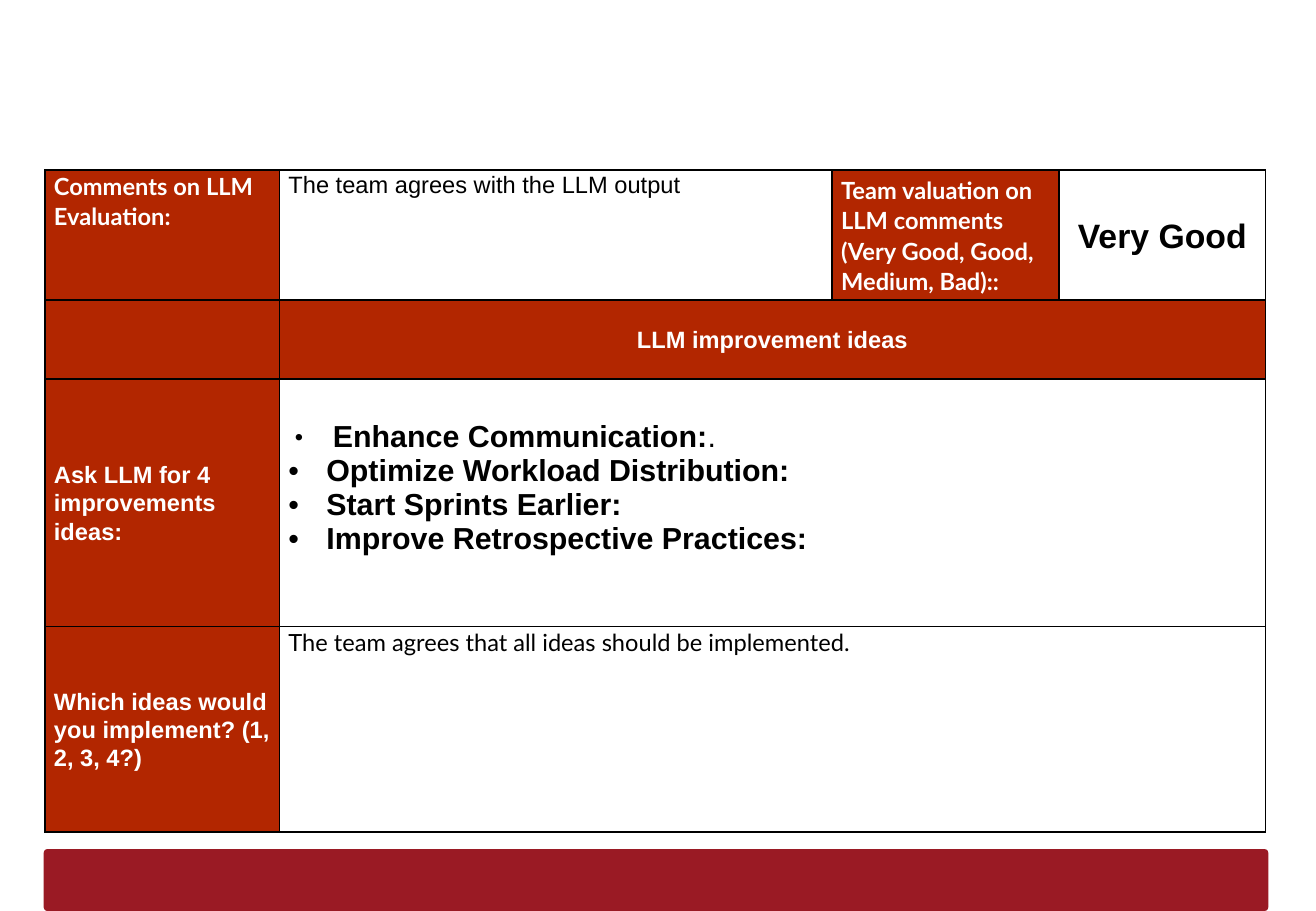
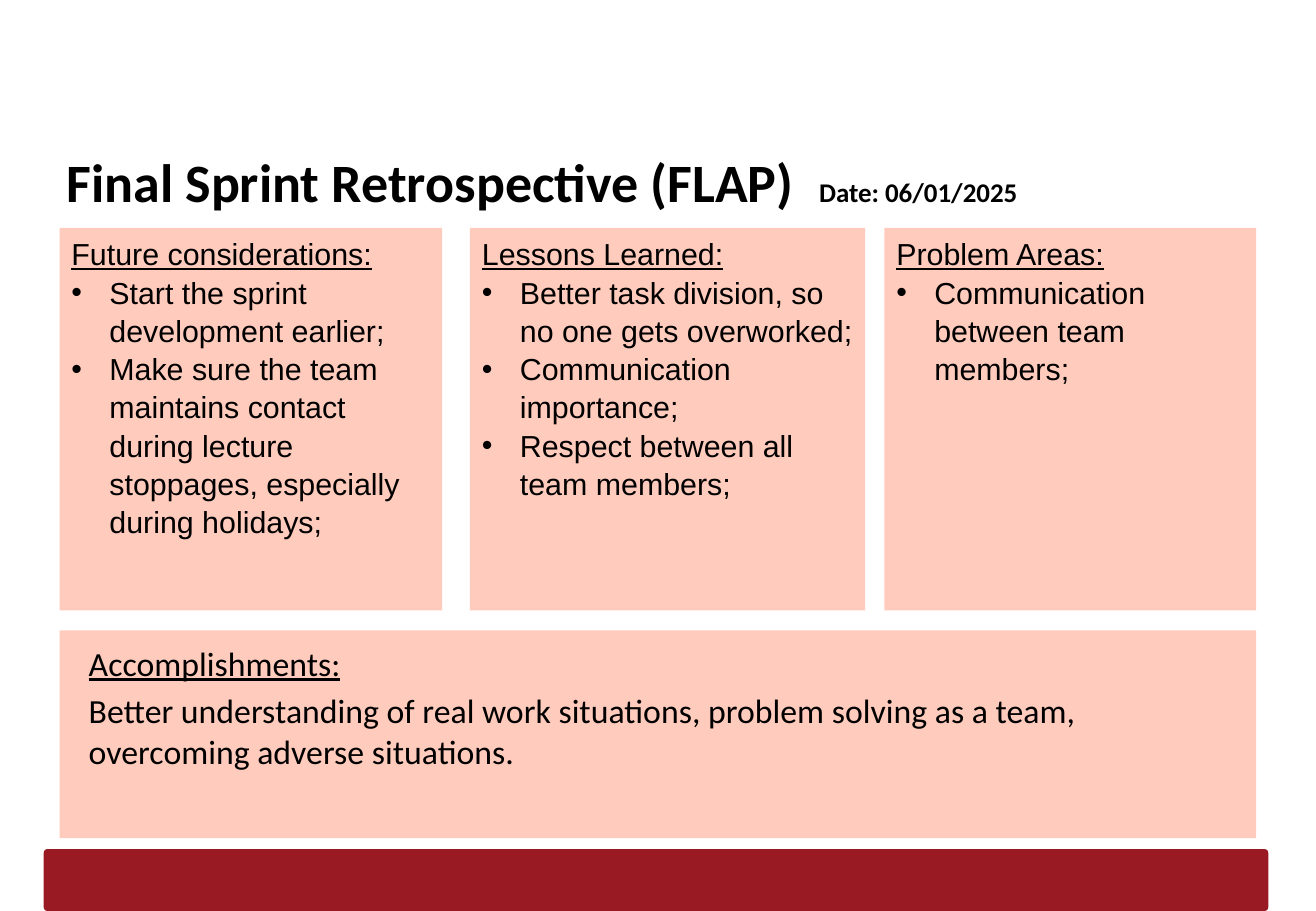
"""Build the LLM evaluation table and the final sprint retrospective slides."""
from pptx import Presentation
from pptx.dml.color import RGBColor
from pptx.enum.shapes import MSO_SHAPE
from pptx.enum.text import MSO_ANCHOR, PP_ALIGN
from pptx.oxml.ns import qn
from pptx.util import Pt
from lxml import etree

RECT, ROUND = MSO_SHAPE.RECTANGLE, MSO_SHAPE.ROUNDED_RECTANGLE
TOP, MIDDLE = MSO_ANCHOR.TOP, MSO_ANCHOR.MIDDLE
LEFT, CENTER = PP_ALIGN.LEFT, PP_ALIGN.CENTER


class Theme:
    """Colours, fonts and type sizes."""
    band, header, panel = "9A1A24", "B22600", "FFCBBD"
    black, white = "000000", "FFFFFF"
    arial, lato, calibri = "Arial", "Lato", "Calibri"
    cell, date, bullet, large, title = 14, 16, 18, 20, 32


TABLE_AT = (26.6, 100.8)
COLUMNS = [139, 327.6, 134.6, 122.4]
ROWS = [77, 46.8, 146.9, 121.7]
HEADERS = [
    (0, 0, "Comments on LLM Evaluation:", Theme.lato, TOP, LEFT),
    (0, 2, "Team valuation on LLM comments (Very Good, Good, Medium, Bad)::",
     Theme.lato, MIDDLE, LEFT),
    (1, 0, "", Theme.arial, MIDDLE, LEFT),
    (1, 1, "LLM improvement ideas", Theme.arial, MIDDLE, CENTER),
    (2, 0, "Ask LLM for 4 improvements ideas:", Theme.arial, MIDDLE, LEFT),
    (3, 0, "Which ideas would you implement? (1, 2, 3, 4?)",
     Theme.arial, MIDDLE, LEFT),
]
IDEAS = ["Enhance Communication:", "Optimize Workload Distribution:",
         "Start Sprints Earlier:", "Improve Retrospective Practices:"]

TITLE, DATE = "Final Sprint Retrospective (FLAP)", "Date: 06/01/2025"
PANEL_TOP, PANEL_HEIGHT = 135, 226.8
PANELS = [
    (35.3, 226.8, "Future considerations:",
     ["Start the sprint development earlier;",
      "Make sure the team maintains contact during lecture stoppages, "
      "especially during holidays;"]),
    (278.6, 234.2, "Lessons Learned:",
     ["Better task division, so no one gets overworked;",
      "Communication importance;",
      "Respect between all team members;"]),
    (524.2, 220.3, "Problem Areas:",
     ["Communication between team members;"]),
]
ACCOMPLISHMENTS = [
    "Accomplishments:",
    "Better understanding of real work situations, problem solving as a team, "
    "overcoming adverse situations.",
]


def style(r, size, font, color=Theme.black, bold=False, underline=False):
    f = r.font
    f.size, f.name, f.bold, f.underline = Pt(size), font, bold, underline
    f.color.rgb = RGBColor.from_string(color)


def add_bullet(p, indent=22.5, percent=100):
    pPr = p._p.get_or_add_pPr()
    pPr.set("marL", str(Pt(indent)))
    pPr.set("indent", str(-Pt(22.5)))
    etree.SubElement(pPr, qn("a:buSzPct"), val=str(percent * 1000))
    etree.SubElement(pPr, qn("a:buFont"), typeface=Theme.arial)
    etree.SubElement(pPr, qn("a:buChar"), char="•")


def fill_paragraphs(tf, lines):
    tf.text = lines[0]
    for line in lines[1:]:
        tf.add_paragraph().text = line
    return tf.paragraphs


def add_box(s, kind, at, color):
    sp = s.shapes.add_shape(kind, *map(Pt, at))
    sp.shadow.inherit = False
    sp.fill.solid()
    sp.fill.fore_color.rgb = RGBColor.from_string(color)
    sp.line.fill.background()
    tf = sp.text_frame
    tf.word_wrap, tf.vertical_anchor = True, TOP
    return sp


def add_slide(prs):
    s = prs.slides.add_slide(prs.slide_layouts[6])
    band = add_box(s, ROUND, (25.9, 503.3, 725.8, 36.7), Theme.band)
    band.adjustments[0] = 0.06
    return s


def prepare_cell(cell):
    cell.margin_left = cell.margin_right = Pt(5.4)
    cell.margin_top = cell.margin_bottom = 0
    tcPr = cell._tc.get_or_add_tcPr()
    for side in "LRTB":
        ln = etree.SubElement(tcPr, qn(f"a:ln{side}"), w=str(Pt(1)))
        solid = etree.SubElement(ln, qn("a:solidFill"))
        etree.SubElement(solid, qn("a:srgbClr"), val=Theme.black)
    cell.fill.background()


def write_cell(cell, text, font, size=Theme.cell, color=Theme.black,
               bold=False, anchor=TOP, align=LEFT):
    cell.text_frame.text = text
    cell.vertical_anchor = anchor
    p = cell.text_frame.paragraphs[0]
    p.alignment, p.line_spacing = align, 1.07
    if align == LEFT:
        p.space_after = Pt(8)
    for r in p.runs:
        style(r, size, font, color, bold)


def build_evaluation(prs):
    s = add_slide(prs)
    frame = s.shapes.add_table(len(ROWS), len(COLUMNS), *map(
        Pt, (*TABLE_AT, sum(COLUMNS), sum(ROWS))))
    table = frame.table
    table.first_row = table.horz_banding = False
    for column, width in zip(table.columns, COLUMNS):
        column.width = Pt(width)
    for row, height in zip(table.rows, ROWS):
        row.height = Pt(height)
    for cell in table.iter_cells():
        prepare_cell(cell)
    for i in range(1, len(ROWS)):
        table.cell(i, 1).merge(table.cell(i, len(COLUMNS) - 1))

    for i, j, text, font, anchor, align in HEADERS:
        cell = table.cell(i, j)
        cell.fill.solid()
        cell.fill.fore_color.rgb = RGBColor.from_string(Theme.header)
        write_cell(cell, text, font, color=Theme.white, bold=True,
                   anchor=anchor, align=align)
    write_cell(table.cell(0, 1), "The team agrees with the LLM output",
               Theme.arial)
    write_cell(table.cell(0, 3), "Very Good", Theme.arial, Theme.large,
               bold=True, anchor=MIDDLE, align=CENTER)
    write_cell(table.cell(3, 1),
               "The team agrees that all ideas should be implemented.",
               Theme.lato)

    ideas = table.cell(2, 1)
    ideas.margin_top = Pt(24.5)
    paragraphs = fill_paragraphs(ideas.text_frame, IDEAS)
    for p in paragraphs:
        style(p.runs[0], Theme.bullet, Theme.arial, bold=True)
    first, *others = paragraphs
    r = first.add_run()
    r.text = "."
    style(r, Theme.bullet, Theme.arial)
    add_bullet(first, indent=26.4, percent=78)
    for p in others:
        add_bullet(p)


def build_retrospective(prs):
    s = add_slide(prs)
    title = s.shapes.add_textbox(*map(Pt, (32.4, 81, 712.1, 45.4)))
    tf = title.text_frame
    tf.word_wrap = True
    tf.margin_top = tf.margin_bottom = Pt(7.2)
    p = tf.paragraphs[0]
    for text, size in ((TITLE + "\t", Theme.title), (DATE, Theme.date)):
        r = p.add_run()
        r.text = text
        style(r, size, Theme.calibri, bold=True)
    tabs = etree.SubElement(p._p.get_or_add_pPr(), qn("a:tabLst"))
    etree.SubElement(tabs, qn("a:tab"), pos=str(Pt(446)), algn="l")

    for left, width, heading, items in PANELS:
        sp = add_box(s, RECT, (left, PANEL_TOP, width, PANEL_HEIGHT),
                     Theme.panel)
        for i, p in enumerate(fill_paragraphs(sp.text_frame,
                                              [heading, *items])):
            p.alignment, p.line_spacing = LEFT, 1.05
            style(p.runs[0], Theme.bullet, Theme.arial, underline=i == 0)
            if i:
                add_bullet(p)

    sp = add_box(s, RECT, (35.3, 373.7, 709.2, 123.1), Theme.panel)
    tf = sp.text_frame
    tf.margin_left, tf.margin_top = Pt(17.3), Pt(7.2)
    for i, p in enumerate(fill_paragraphs(tf, ACCOMPLISHMENTS)):
        p.alignment, p.space_after = LEFT, Pt(4)
        style(p.runs[0], Theme.large, Theme.calibri, underline=i == 0)


def main():
    prs = Presentation()
    prs.slide_width, prs.slide_height = Pt(780), Pt(540)
    build_evaluation(prs)
    build_retrospective(prs)
    prs.save("out.pptx")


if __name__ == "__main__":
    main()
